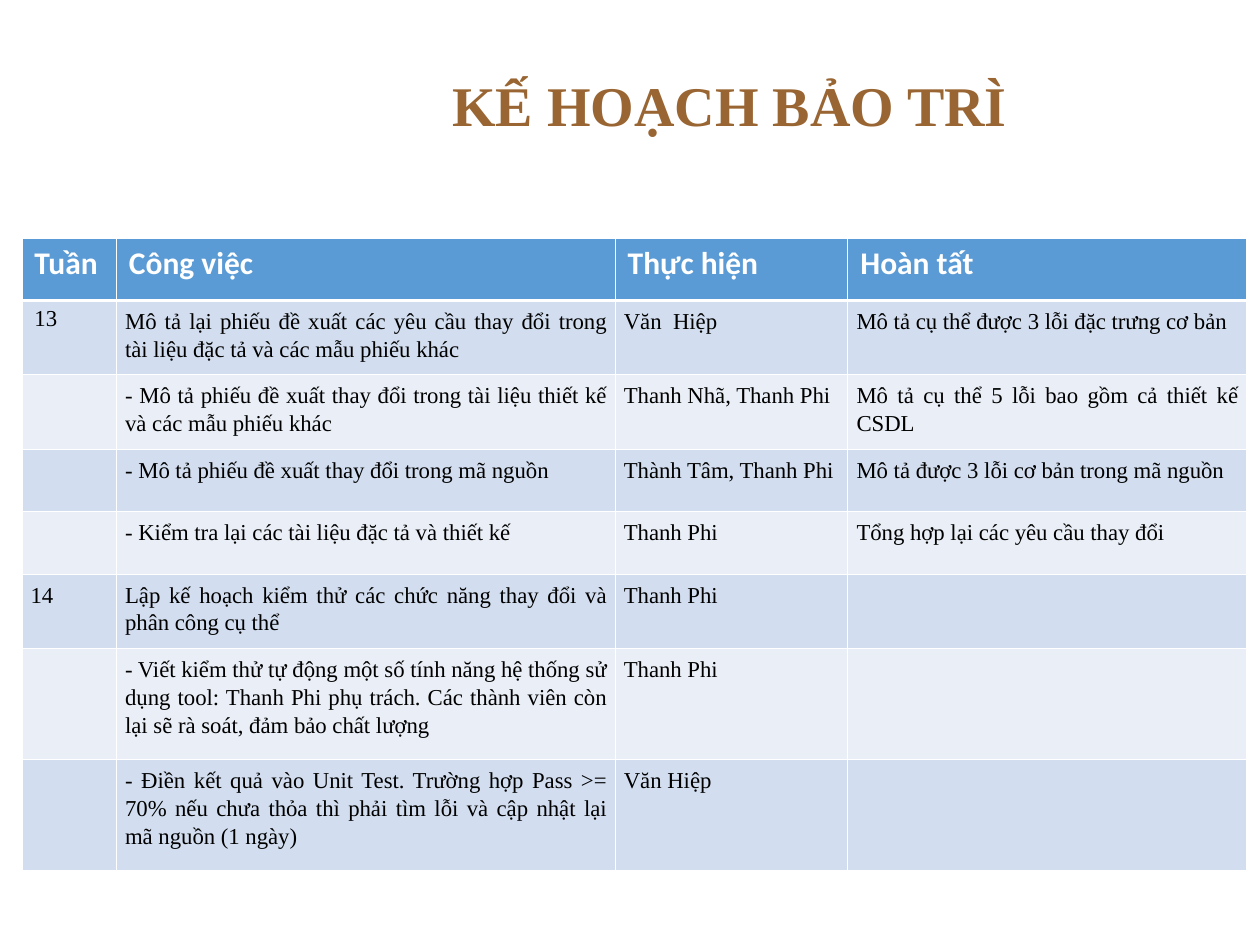
from dataclasses import dataclass

from lxml.etree import SubElement
from pptx import Presentation
from pptx.dml.color import RGBColor
from pptx.enum.text import MSO_ANCHOR, PP_ALIGN
from pptx.oxml.ns import qn
from pptx.util import Pt


@dataclass(frozen=True)
class Theme:
    title_color: str = "996633"
    header_fill: str = "5B9BD5"
    header_text: str = "FFFFFF"
    band_fills: tuple = ("D2DEEF", "EAEFF7")
    body_text: str = "000000"
    border: str = "FFFFFF"
    body_font: str = "Times New Roman"
    header_font: str = "Calibri"
    title_size: float = 32
    header_size: float = 18
    body_size: float = 13
    thin_line: float = 0.45
    thick_line: float = 1.47


COLUMN_WIDTHS = (54, 285, 133, 228)
ROW_HEIGHTS = (35.7, 42.5, 42.5, 35.7, 35.7, 42.5, 63.5, 63.5)
PLAN_ROWS = (
    ("Tuần", "Công việc", "Thực hiện", "Hoàn tất"),
    ("13", "Mô tả lại phiếu đề xuất các yêu cầu thay đổi trong tài liệu đặc tả "
     "và các mẫu phiếu khác", "Văn  Hiệp", "Mô tả cụ thể được 3 lỗi đặc trưng cơ bản"),
    ("", "- Mô tả phiếu đề xuất thay đổi trong tài liệu thiết kế và các mẫu phiếu khác",
     "Thanh Nhã, Thanh Phi", "Mô tả cụ thể 5 lỗi bao gồm cả thiết kế CSDL"),
    ("", "- Mô tả phiếu đề xuất thay đổi trong mã nguồn", "Thành Tâm, Thanh Phi",
     "Mô tả được 3 lỗi cơ bản trong mã nguồn"),
    ("", "- Kiểm tra lại các tài liệu đặc tả và thiết kế", "Thanh Phi",
     "Tổng hợp lại các yêu cầu thay đổi"),
    ("14", "Lập kế hoạch kiểm thử các chức năng thay đổi và phân công cụ thể",
     "Thanh Phi", ""),
    ("", "- Viết kiểm thử tự động một số tính năng hệ thống sử dụng tool: Thanh Phi "
     "phụ trách. Các thành viên còn lại sẽ rà soát, đảm bảo chất lượng", "Thanh Phi", ""),
    ("", "- Điền kết quả vào Unit Test. Trường hợp Pass >= 70% nếu chưa thỏa thì phải "
     "tìm lỗi và cập nhật lại mã nguồn (1 ngày)", "Văn Hiệp", ""),
)


class SlideBuilder:
    def __init__(self, slide, theme):
        self.slide = slide
        self.theme = theme

    def set_font(self, paragraph, name, size, color, bold=False):
        font = paragraph.font
        font.name = name
        font.size = Pt(size)
        font.bold = bold
        font.color.rgb = RGBColor.from_string(color)

    def add_title(self, text, left, top, width, height):
        title = self.slide.shapes.title
        title.left, title.top = Pt(left), Pt(top)
        title.width, title.height = Pt(width), Pt(height)
        frame = title.text_frame
        frame.text = text
        frame.vertical_anchor = MSO_ANCHOR.MIDDLE
        paragraph = frame.paragraphs[0]
        paragraph.alignment = PP_ALIGN.CENTER
        theme = self.theme
        self.set_font(paragraph, theme.body_font, theme.title_size, theme.title_color, True)

    def set_borders(self, cell, row):
        """Draw thin cell borders, with a thick rule below the header row."""
        theme = self.theme
        properties = cell._tc.get_or_add_tcPr()
        for side in ("L", "R", "T", "B"):
            under_header = (row, side) in ((0, "B"), (1, "T"))
            width = theme.thick_line if under_header else theme.thin_line
            line = SubElement(properties, qn(f"a:ln{side}"), w=str(Pt(width)))
            fill = SubElement(line, qn("a:solidFill"))
            SubElement(fill, qn("a:srgbClr"), val=theme.border)

    def format_cell(self, cell, row, column, text):
        theme = self.theme
        is_header = row == 0
        self.set_borders(cell, row)
        cell.fill.solid()
        color = theme.header_fill if is_header else theme.band_fills[(row - 1) % 2]
        cell.fill.fore_color.rgb = RGBColor.from_string(color)
        cell.text = text
        paragraph = cell.text_frame.paragraphs[0]
        if is_header:
            self.set_font(paragraph, theme.header_font, theme.header_size,
                          theme.header_text, True)
            return
        if text and (row, column) != (1, 0):
            cell.margin_left = cell.margin_right = Pt(5)
            paragraph.alignment = PP_ALIGN.JUSTIFY
            paragraph.line_spacing = 1.11
            paragraph.space_after = Pt(6)
        self.set_font(paragraph, theme.body_font, theme.body_size, theme.body_text)

    def add_table(self, rows, left, top, column_widths, row_heights):
        table = self.slide.shapes.add_table(
            len(rows), len(column_widths), Pt(left), Pt(top),
            Pt(sum(column_widths)), Pt(sum(row_heights))).table
        for column, width in zip(table.columns, column_widths):
            column.width = Pt(width)
        for table_row, height in zip(table.rows, row_heights):
            table_row.height = Pt(height)
        for row, texts in enumerate(rows):
            for column, text in enumerate(texts):
                self.format_cell(table.cell(row, column), row, column, text)


def main():
    presentation = Presentation()
    presentation.slide_width, presentation.slide_height = Pt(720), Pt(540)
    slide = presentation.slides.add_slide(presentation.slide_layouts[5])
    builder = SlideBuilder(slide, Theme())
    builder.add_title("KẾ HOẠCH BẢO TRÌ", 138, 22.5, 558, 74)
    builder.add_table(PLAN_ROWS, 12.5, 136, COLUMN_WIDTHS, ROW_HEIGHTS)
    presentation.save("out.pptx")


if __name__ == "__main__":
    main()
